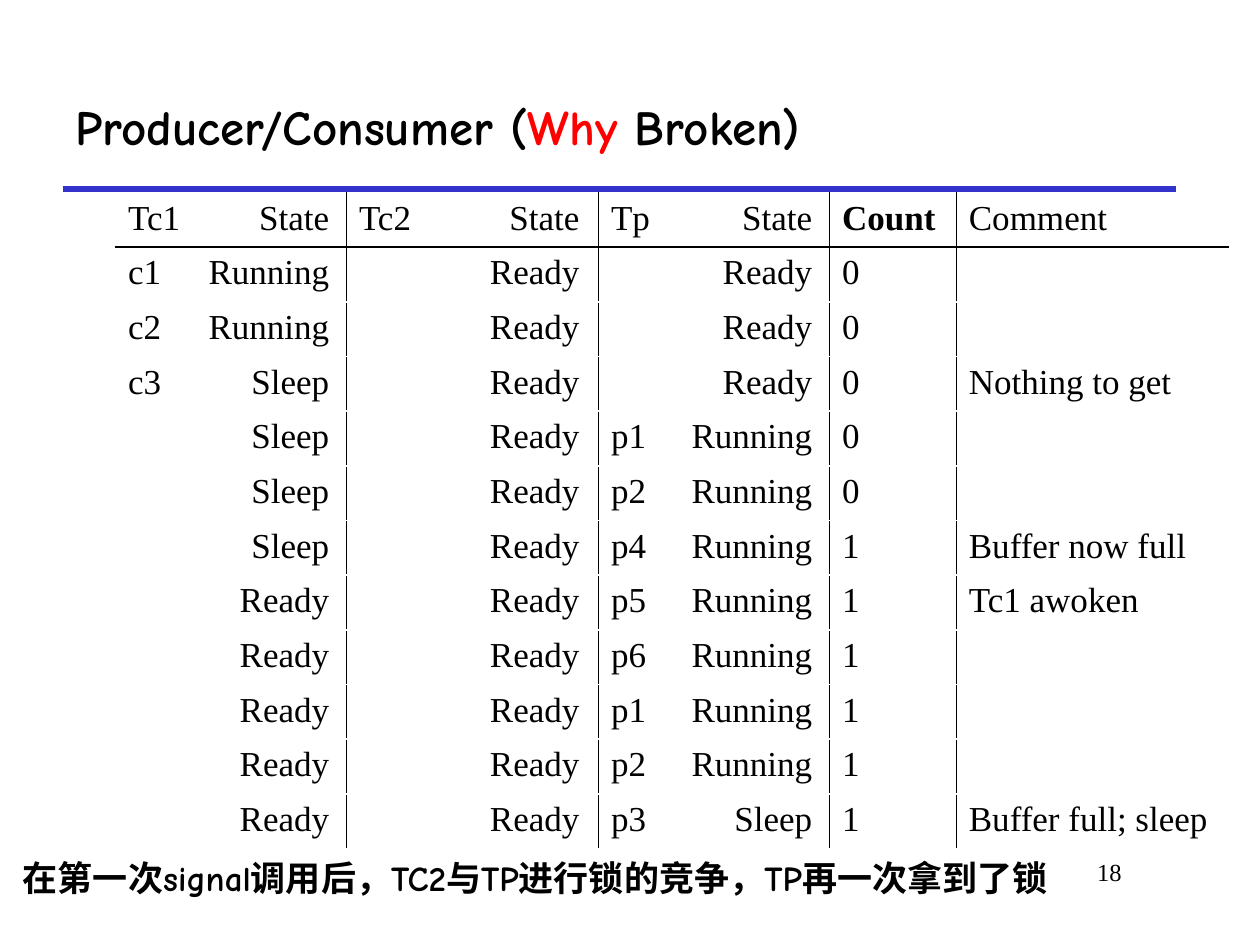
from pptx import Presentation
from pptx.dml.color import RGBColor
from pptx.enum.shapes import MSO_CONNECTOR
from pptx.enum.text import MSO_ANCHOR, PP_ALIGN
from pptx.oxml.ns import qn
from pptx.util import Pt
from lxml import etree

STRAIGHT = MSO_CONNECTOR.STRAIGHT
TOP, MIDDLE = MSO_ANCHOR.TOP, MSO_ANCHOR.MIDDLE
LEFT, RIGHT = PP_ALIGN.LEFT, PP_ALIGN.RIGHT

BLACK = RGBColor(0x00, 0x00, 0x00)
WHITE = RGBColor(0xFF, 0xFF, 0xFF)
RED = RGBColor(0xFF, 0x00, 0x00)
BLUE = RGBColor(0x33, 0x33, 0xCC)

HEADING_FONT = "Comic Neue"
TABLE_FONT = "Times New Roman"

COLUMN_WIDTHS = (132, 144, 132, 72.5, 155.5)
STATE_TABS = (115, 126, 115)
ROW_HEIGHT = 31.2

HEADER = ("Tc1\tState", "Tc2\tState", "Tp\tState", "Count", "Comment")
# Each step: consumer 1, producer, count, comment. Consumer 2 stays ready.
STEPS = (
    ("c1\tRunning", "\tReady", "0", ""),
    ("c2\tRunning", "\tReady", "0", ""),
    ("c3\tSleep", "\tReady", "0", "Nothing to get"),
    ("\tSleep", "p1\tRunning", "0", ""),
    ("\tSleep", "p2\tRunning", "0", ""),
    ("\tSleep", "p4\tRunning", "1", "Buffer now full"),
    ("\tReady", "p5\tRunning", "1", "Tc1 awoken"),
    ("\tReady", "p6\tRunning", "1", ""),
    ("\tReady", "p1\tRunning", "1", ""),
    ("\tReady", "p2\tRunning", "1", ""),
    ("\tReady", "p3\tSleep", "1", "Buffer full; sleep"),
)


def format_run(run, font_name, size, color=BLACK, bold=False):
    run.font.name = font_name
    run.font.size = Pt(size)
    run.font.bold = bold
    run.font.color.rgb = color


def add_text(slide, box, pieces, font_name, size, bold=False, align=LEFT, anchor=TOP):
    """Add a one-paragraph text box; pieces are (text, colour) pairs."""
    text_box = slide.shapes.add_textbox(*(Pt(length) for length in box))
    text_frame = text_box.text_frame
    text_frame.word_wrap = True
    text_frame.vertical_anchor = anchor
    paragraph = text_frame.paragraphs[0]
    paragraph.alignment = align
    for text, color in pieces:
        run = paragraph.add_run()
        run.text = text
        format_run(run, font_name, size, color, bold)


def add_rule(slide, left, right, y):
    line = slide.shapes.add_connector(STRAIGHT, Pt(left), Pt(y), Pt(right), Pt(y))
    line.line.color.rgb = BLUE
    line.line.width = Pt(3)
    etree.SubElement(line._element.spPr, qn("a:effectLst"))


def set_borders(cell, colors):
    """Draw 1 pt borders in the order left, right, top, bottom."""
    properties = cell._tc.get_or_add_tcPr()
    for side, color in zip("LRTB", colors):
        line = etree.SubElement(properties, qn(f"a:ln{side}"), w=str(Pt(1)))
        fill = etree.SubElement(line, qn("a:solidFill"))
        etree.SubElement(fill, qn("a:srgbClr"), val=str(color))


def add_right_tab(paragraph, position):
    tabs = etree.SubElement(paragraph._p.get_or_add_pPr(), qn("a:tabLst"))
    etree.SubElement(tabs, qn("a:tab"), pos=str(Pt(position)), algn="r")


def fill_cell(cell, text, row, column):
    last_column = len(COLUMN_WIDTHS) - 1
    set_borders(cell, (
        WHITE if column == 0 else BLACK,
        WHITE if column == last_column else BLACK,
        BLACK if row == 1 else WHITE,
        BLACK if row == 0 else WHITE,
    ))
    cell.fill.background()
    if not text:
        return
    paragraph = cell.text_frame.paragraphs[0]
    if column < len(STATE_TABS):
        add_right_tab(paragraph, STATE_TABS[column])
    paragraph.text = text
    for run in paragraph.runs:
        format_run(run, TABLE_FONT, 20, bold=text == "Count")


def add_state_table(slide, left, top):
    rows = [HEADER] + [(first, "\tReady", *rest) for first, *rest in STEPS]
    table = slide.shapes.add_table(
        len(rows), len(COLUMN_WIDTHS), Pt(left), Pt(top),
        Pt(sum(COLUMN_WIDTHS)), Pt(ROW_HEIGHT * len(rows))).table
    table.first_row = False
    table.horz_banding = False
    for column, width in zip(table.columns, COLUMN_WIDTHS):
        column.width = Pt(width)
    for row_index, texts in enumerate(rows):
        table.rows[row_index].height = Pt(ROW_HEIGHT)
        for column_index, text in enumerate(texts):
            fill_cell(table.cell(row_index, column_index), text, row_index, column_index)


def main():
    presentation = Presentation()
    presentation.slide_width = Pt(720)
    presentation.slide_height = Pt(540)
    slide = presentation.slides.add_slide(presentation.slide_layouts[6])

    add_rule(slide, 36, 672, 108)
    add_text(slide, (546, 486, 102, 36), [("18", BLACK)], TABLE_FONT, 14, align=RIGHT)
    title = [("Producer/Consumer (", BLACK), ("Why", RED), (" Broken)", BLACK)]
    add_text(slide, (36, 36, 636, 72), title, HEADING_FONT, 28, bold=True, anchor=MIDDLE)
    add_state_table(slide, 66, 110)
    caption = "在第一次signal调用后，TC2与TP进行锁的竞争，TP再一次拿到了锁"
    add_text(slide, (6, 486, 617, 32), [(caption, BLACK)], HEADING_FONT, 20, bold=True)

    presentation.save("out.pptx")


if __name__ == "__main__":
    main()
